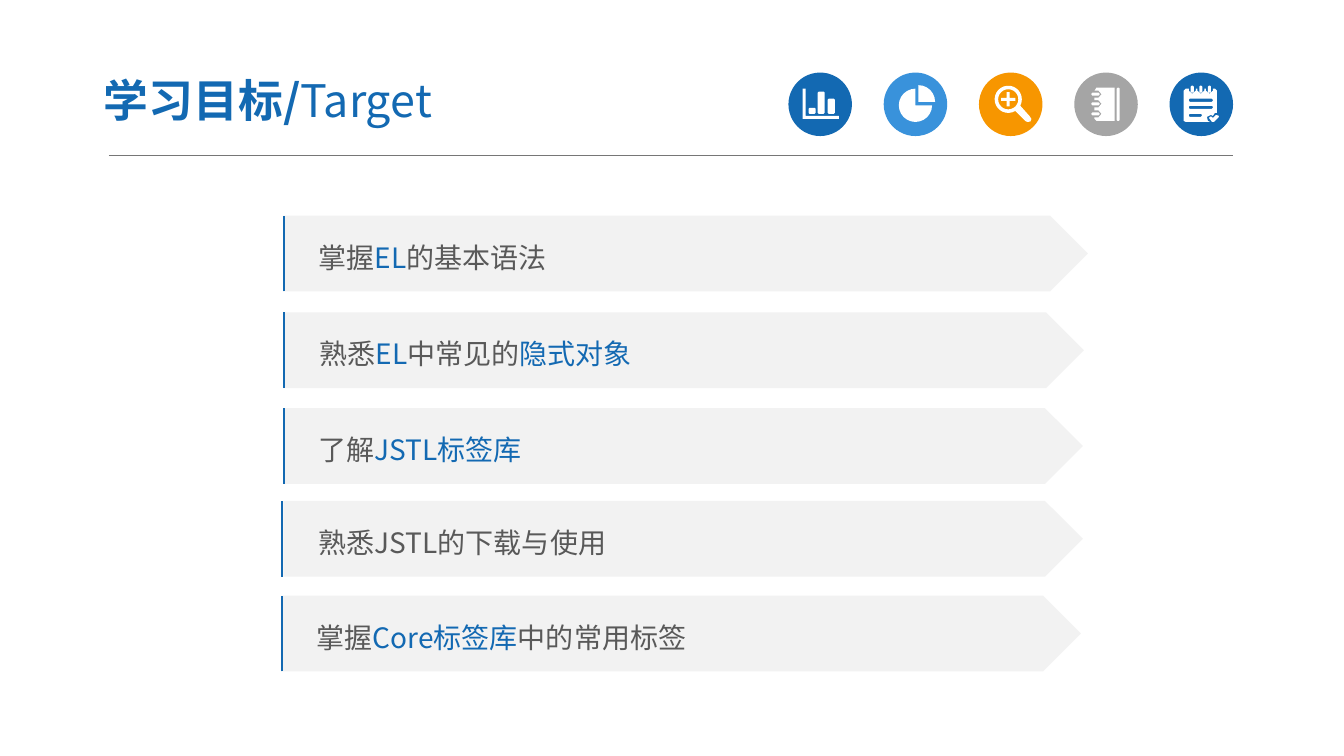
from dataclasses import dataclass
from math import cos, radians, sin

from lxml import etree
from pptx import Presentation
from pptx.dml.color import RGBColor
from pptx.enum.shapes import MSO_CONNECTOR, MSO_SHAPE
from pptx.enum.text import MSO_ANCHOR, MSO_AUTO_SIZE, PP_ALIGN
from pptx.oxml.ns import qn
from pptx.util import Inches, Pt

OVAL = MSO_SHAPE.OVAL
PLATE = MSO_SHAPE.PENTAGON
STRAIGHT = MSO_CONNECTOR.STRAIGHT
MIDDLE = MSO_ANCHOR.MIDDLE
LEFT = PP_ALIGN.LEFT
NO_FIT = MSO_AUTO_SIZE.NONE


@dataclass(frozen=True)
class Theme:
    font: str = "Noto Sans CJK SC"
    blue: str = "1369B2"
    sky: str = "3992DB"
    orange: str = "F79600"
    gray: str = "A5A5A5"
    white: str = "FFFFFF"
    panel: str = "F2F2F2"
    body: str = "595959"
    rule: str = "767676"
    title_size: int = 32
    goal_size: int = 20


THEME = Theme()
ICON_TOP, ICON_LEFT, ICON_STEP, ICON_SIZE = 0.72, 7.82, 0.945, 0.63
GOAL_HEIGHT, BAR_BOX = 0.75, 0.12

# Plate left, bar left, top, width, then runs of (text, is key term)
GOALS = [
    (2.81, 2.82, 2.14, 7.98, [("掌握", False), ("EL", True), ("的基本语法", False)]),
    (2.82, 2.82, 3.10, 7.93, [("熟悉", False), ("EL", True), ("中常见的", False),
                              ("隐式对象", True)]),
    (2.81, 2.82, 4.05, 7.93, [("了解", False), ("JSTL标签库", True)]),
    (2.81, 2.80, 4.97, 7.93, [("熟悉JSTL的下载与使用", False)]),
    (2.79, 2.80, 5.91, 7.93, [("掌握", False), ("Core标签库", True),
                              ("中的常用标签", False)]),
]


def assign(target, values):
    for name, value in values.items():
        setattr(target, name, value)


def add_run(para, text, size, color, bold=False):
    run = para.add_run()
    run.text = text
    assign(run.font, {"name": THEME.font, "size": Pt(size), "bold": bold})
    run.font.color.rgb = RGBColor.from_string(color)
    east = etree.SubElement(run.font._element, qn("a:ea"))
    east.set("typeface", THEME.font)


def paint(shape, color):
    shape.shadow.inherit = False
    shape.fill.solid()
    shape.fill.fore_color.rgb = RGBColor.from_string(color)
    shape.line.fill.background()


def add_shape(shapes, kind, box, color):
    shape = shapes.add_shape(kind, *(Inches(n) for n in box))
    paint(shape, color)
    return shape


def stroke(line, color, width):
    line.color.rgb = RGBColor.from_string(color)
    line.width = Pt(width)


def add_rule(slide, start, end):
    points = (Inches(n) for n in (*start, *end))
    rule = slide.shapes.add_connector(STRAIGHT, *points)
    stroke(rule.line, THEME.rule, 0.5)
    etree.SubElement(rule._element.spPr, qn("a:effectLst"))


def add_bar(shapes, left, top):
    """Draw the upright stroke at the left edge of its narrow box."""
    x, y = Inches(left), Inches(top)
    pen = shapes.build_freeform(x, y + Inches(GOAL_HEIGHT))
    pen.add_line_segments([(x, y)], close=False)
    pen.move_to(x + Inches(BAR_BOX), y)
    bar = pen.convert_to_shape()
    bar.shadow.inherit = False
    bar.fill.background()
    stroke(bar.line, THEME.blue, 1.5)


def block(x, y, width, height, cut=1):
    """Outline of a rectangle with its corners cut off."""
    right, low = x + width, y + height
    return [(x + cut, y), (right - cut, y), (right, y + cut), (right, low - cut),
            (right - cut, low), (x + cut, low), (x, low - cut), (x, y + cut)]


def arc(x, y, radius, start=0, end=360, steps=24):
    angles = [radians(start + (end - start) * n / steps) for n in range(steps + 1)]
    return [(x + radius * cos(a), y + radius * sin(a)) for a in angles]


def chart_paths():
    axes = [(14, 16), (17, 16), (17, 43), (50, 43), (50, 46), (14, 46)]
    return [axes, block(20, 35, 7, 6), block(29, 19, 7, 22), block(39, 26, 7, 15)]


def pie_paths():
    return [[(31.5, 32.5), *arc(31.5, 32.5, 16.5, 0, 270, 18)],
            [(34.5, 29), *arc(34.5, 29, 16.5, 270, 360, 6)]]


def lens_paths():
    x, y, arm, half = 29, 26.5, 7, 1.5
    rim = arc(x, y, 13.5, 59, 388)
    handle = [(50, 43), (52, 46), (51, 48.5), (48, 49), (46, 48)]
    plus = [(x - half, y - arm), (x + half, y - arm), (x + half, y - half),
            (x + arm, y - half), (x + arm, y + half), (x + half, y + half),
            (x + half, y + arm), (x - half, y + arm), (x - half, y + half),
            (x - arm, y + half), (x - arm, y - half), (x - half, y - half)]
    return [rim + handle, arc(x, y, 10), plus]


def book_paths():
    page = [(22, 15), (40, 15), (40, 48), (22, 48), (20, 46)]
    rings = (41, 31, 21.5)
    for y in rings:
        page += [(20, y + 3.5), (24, y + 3.5), (27, y), (24, y - 3.5), (20, y - 3.5)]
    return [page, block(42, 15, 3, 33), *(block(17, y - 1.5, 8, 3) for y in rings)]


def note_paths():
    pins = (22.5, 31, 39.5)
    page = [(14, 18), (16, 16)]
    for x in pins:
        page += [(x - 3.5, 16), (x - 3.5, 18), (x, 21), (x + 3.5, 18), (x + 3.5, 16)]
    page += [(45, 16), (47, 18), (47, 40), (45, 40), (43, 43), (41, 42), (37, 44),
             (38, 48), (40, 49), (16, 49), (14, 48)]
    lines = [(26, 24), (33, 24), (41, 13)]
    tick = [(39, 45), (41, 43.5), (43, 45), (46, 42), (49, 43), (48.5, 44.5),
            (44, 49), (42, 49)]
    return [page, *(block(x - 1.5, 13, 3, 7) for x in pins),
            *(block(19, y, width, 3) for y, width in lines), tick]


def add_icon(slide, index, color, paths):
    """Draw a disc and one white glyph, set in hundredths of an inch."""
    left = ICON_LEFT + index * ICON_STEP
    shapes = slide.shapes.add_group_shape().shapes
    add_shape(shapes, OVAL, (left, ICON_TOP, ICON_SIZE, ICON_SIZE), color)
    pen = None
    for path in paths:
        start, *rest = [(Inches(left + x / 100), Inches(ICON_TOP + y / 100))
                        for x, y in path]
        if pen is None:
            pen = shapes.build_freeform(*start)
        else:
            pen.move_to(*start)
        pen.add_line_segments(rest)
    paint(pen.convert_to_shape(), THEME.white)


def add_title(slide):
    title = slide.shapes.title
    assign(title, {"left": Inches(0.9), "top": Inches(0.63),
                   "width": Inches(5.22), "height": Inches(0.72)})
    frame = title.text_frame
    assign(frame, {"vertical_anchor": MIDDLE, "auto_size": NO_FIT, "word_wrap": True,
                   "margin_left": Inches(0.13), "margin_right": Inches(0.13),
                   "margin_top": Inches(0.07), "margin_bottom": Inches(0.07)})
    para = frame.paragraphs[0]
    para.alignment = LEFT
    add_run(para, "学习目标/", THEME.title_size, THEME.blue, True)
    add_run(para, "Target", THEME.title_size, THEME.blue)


def add_goal(slide, left, bar, top, width, runs):
    shapes = slide.shapes.add_group_shape().shapes
    plate = add_shape(shapes, PLATE, (left, top, width, GOAL_HEIGHT), THEME.panel)
    frame = plate.text_frame
    assign(frame, {"vertical_anchor": MIDDLE, "word_wrap": True,
                   "margin_left": Inches(0.35)})
    para = frame.paragraphs[0]
    assign(para, {"alignment": LEFT, "line_spacing": 1.2})
    for text, key in runs:
        add_run(para, text, THEME.goal_size, THEME.blue if key else THEME.body)
    add_bar(shapes, bar, top)


def main():
    deck = Presentation()
    deck.slide_width, deck.slide_height = Inches(13.33), Inches(7.5)
    slide = deck.slides.add_slide(deck.slide_layouts[5])
    add_title(slide)
    add_rule(slide, (1.08, 1.54), (12.23, 1.54))
    icons = [(THEME.blue, chart_paths()), (THEME.sky, pie_paths()),
             (THEME.orange, lens_paths()), (THEME.gray, book_paths()),
             (THEME.blue, note_paths())]
    for index, (color, paths) in enumerate(icons):
        add_icon(slide, index, color, paths)
    for goal in GOALS:
        add_goal(slide, *goal)
    deck.save("out.pptx")


if __name__ == "__main__":
    main()
